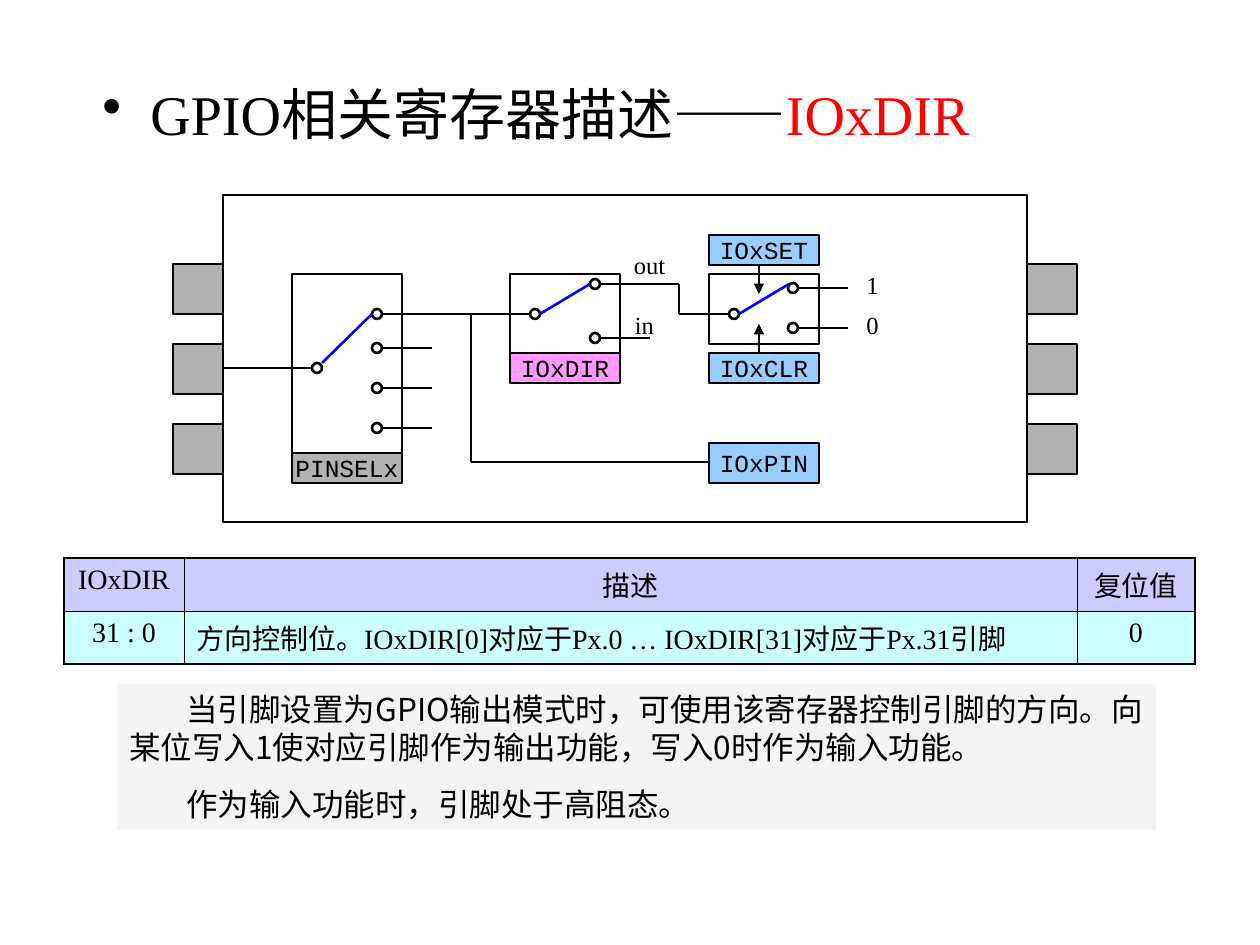
from typing import NamedTuple

from lxml import etree
from pptx import Presentation
from pptx.dml.color import RGBColor
from pptx.enum.shapes import MSO_CONNECTOR, MSO_SHAPE
from pptx.enum.text import MSO_ANCHOR, PP_ALIGN
from pptx.oxml.ns import qn
from pptx.util import Emu, Pt

RECT, OVAL = MSO_SHAPE.RECTANGLE, MSO_SHAPE.OVAL
STRAIGHT = MSO_CONNECTOR.STRAIGHT
LEFT, CENTER = PP_ALIGN.LEFT, PP_ALIGN.CENTER
MIDDLE = MSO_ANCHOR.MIDDLE

BLACK = RGBColor(0x00, 0x00, 0x00)
RED = RGBColor(0xFF, 0x00, 0x00)
BLUE = RGBColor(0x00, 0x00, 0xFF)
GRAY = RGBColor(0xB2, 0xB2, 0xB2)
PINK = RGBColor(0xFF, 0x99, 0xFF)
SKY = RGBColor(0x99, 0xCC, 0xFF)
LILAC = RGBColor(0xCC, 0xCC, 0xFF)
AQUA = RGBColor(0xCC, 0xFF, 0xFF)
SILVER = RGBColor(0xDD, 0xDD, 0xDD)

SERIF, MONO, SANS = "Times New Roman", "Courier New", "Noto Sans CJK JP"
EMU_PER_PX = 914400 / 126
RADIUS = 5


class Box(NamedTuple):
    x: int
    y: int
    w: int
    h: int
    fill: RGBColor | None = None
    text: str = ""


class Contact(NamedTuple):
    x: int
    y: int
    lead_end: int


class Wire(NamedTuple):
    x1: int
    y1: int
    x2: int
    y2: int
    color: RGBColor = BLACK
    arrow: bool = False


class Label(NamedTuple):
    x: int
    y: int
    w: int
    text: str


FRAMES = [Box(223, 195, 804, 327), Box(292, 274, 110, 179),
          Box(510, 274, 110, 79), Box(709, 274, 110, 70)]
REGISTERS = [Box(292, 453, 110, 30, GRAY, "PINSELx"),
             Box(510, 353, 110, 30, PINK, "IOxDIR"),
             Box(709, 235, 110, 30, SKY, "IOxSET"),
             Box(709, 353, 110, 30, SKY, "IOxCLR"),
             Box(709, 443, 110, 40, SKY, "IOxPIN")]
PADS = [Box(x, 264 + 80 * i, 50, 50, GRAY) for x in (173, 1027) for i in range(3)]
CONTACTS = [Contact(317, 368, 223),
            *(Contact(377, y, 432) for y in (314, 348, 388, 428)),
            Contact(535, 314, 432), Contact(595, 284, 650), Contact(595, 338, 650),
            Contact(734, 314, 679), Contact(793, 288, 848), Contact(793, 328, 848)]
WIRES = [Wire(322, 363, 372, 314, BLUE), Wire(540, 314, 590, 284, BLUE),
         Wire(739, 314, 789, 284, BLUE),
         Wire(679, 314, 679, 284), Wire(679, 284, 650, 284),
         Wire(471, 314, 471, 462), Wire(471, 462, 650, 462), Wire(650, 462, 709, 462),
         Wire(759, 265, 759, 294, arrow=True), Wire(759, 353, 759, 324, arrow=True)]
LABELS = [Label(620, 304, 49, "in"), Label(620, 244, 59, "out"),
          Label(848, 264, 49, "1"), Label(848, 304, 49, "0")]

COLUMNS = [120, 893, 118]
ROW_FILLS = [LILAC, AQUA]
ROWS = [["IOxDIR", "描述", "复位值"],
        ["31 : 0", "方向控制位。IOxDIR[0]对应于Px.0 … IOxDIR[31]对应于Px.31引脚", "0"]]
NOTES = ["当引脚设置为GPIO输出模式时，可使用该寄存器控制引脚的方向。"
         "向某位写入1使对应引脚作为输出功能，写入0时作为输入功能。",
         "作为输入功能时，引脚处于高阻态。"]


def px(n: int) -> Emu:
    return Emu(round(n * EMU_PER_PX))


def add_run(p, text: str, size: int, font: str, color: RGBColor = BLACK) -> None:
    r = p.add_run()
    r.text = text
    r.font.size, r.font.name = Pt(size), font
    r.font.color.rgb = color


def add_shape(s, box: Box, kind=RECT):
    sp = s.shapes.add_shape(kind, px(box.x), px(box.y), px(box.w), px(box.h))
    sp.shadow.inherit = False
    if box.fill is None:
        sp.fill.background()
    else:
        sp.fill.solid()
        sp.fill.fore_color.rgb = box.fill
    sp.line.color.rgb = BLACK
    sp.line.width = Pt(1.5)
    if box.text:
        tf = sp.text_frame
        tf.word_wrap = False
        tf.vertical_anchor = MIDDLE
        p = tf.paragraphs[0]
        p.alignment = CENTER
        add_run(p, box.text, 14, MONO)
    return sp


def add_wire(s, wire: Wire) -> None:
    c = s.shapes.add_connector(STRAIGHT, *(px(n) for n in wire[:4]))
    c.line.color.rgb = wire.color
    c.line.width = Pt(1.5)
    if wire.arrow:
        etree.SubElement(c.line._get_or_add_ln(), qn("a:tailEnd"), type="triangle")
    etree.SubElement(c._element.spPr, qn("a:effectLst"))


def add_contact(s, contact: Contact) -> None:
    x, y, end = contact
    edge = x + RADIUS if end > x else x - RADIUS
    add_wire(s, Wire(end, y, edge, y))
    add_shape(s, Box(x - RADIUS, y - RADIUS, 2 * RADIUS, 2 * RADIUS), OVAL)


def add_text_box(s, x: int, y: int, w: int, h: int):
    tf = s.shapes.add_textbox(px(x), px(y), px(w), px(h)).text_frame
    tf.word_wrap = True
    return tf.paragraphs[0]


def add_label(s, label: Label) -> None:
    p = add_text_box(s, label.x, label.y, label.w, 43)
    p.alignment = CENTER
    add_run(p, label.text, 14, SERIF)


def add_title(s) -> None:
    p = add_text_box(s, 90, 73, 1071, 94)
    pPr = p._p.get_or_add_pPr()
    pPr.set("marL", str(px(48)))
    pPr.set("indent", str(px(-48)))
    etree.SubElement(pPr, qn("a:buChar"), char="•")
    add_run(p, "GPIO相关寄存器描述——", 32, SERIF)
    add_run(p, "IOxDIR", 32, SERIF, RED)


def add_border(cell, side: str, width: float) -> None:
    ln = etree.SubElement(cell._tc.get_or_add_tcPr(), qn(f"a:ln{side}"), w=str(Pt(width)))
    fill = etree.SubElement(ln, qn("a:solidFill"))
    etree.SubElement(fill, qn("a:srgbClr"), val=str(BLACK))


def add_register_table(s) -> None:
    shape = s.shapes.add_table(len(ROWS), len(COLUMNS), px(64), px(558),
                               px(sum(COLUMNS)), px(106))
    table = shape.table
    table.first_row = table.horz_banding = False
    for column, width in zip(table.columns, COLUMNS):
        column.width = px(width)
    for i, row in enumerate(ROWS):
        for j, text in enumerate(row):
            cell = table.cell(i, j)
            outer = {"L": j == 0, "R": j == len(COLUMNS) - 1,
                     "T": i == 0, "B": i == len(ROWS) - 1}
            for side, is_outer in outer.items():
                add_border(cell, side, 1.08 if is_outer else 0.45)
            cell.fill.solid()
            cell.fill.fore_color.rgb = ROW_FILLS[i]
            p = cell.text_frame.paragraphs[0]
            p.alignment = LEFT if (i, j) == (1, 1) else CENTER
            add_run(p, text, 16, SERIF)


def add_notes_panel(s) -> None:
    sp = add_shape(s, Box(117, 684, 1039, 146, SILVER))
    sp.line.fill.background()
    color = sp._element.spPr.find(qn("a:solidFill"))[0]
    etree.SubElement(color, qn("a:alpha"), val="30000")
    tf = sp.text_frame
    tf.word_wrap = True
    tf.vertical_anchor = MSO_ANCHOR.TOP
    for i, text in enumerate(NOTES):
        p = tf.add_paragraph() if i else tf.paragraphs[0]
        p.alignment = LEFT
        p.line_spacing = Pt(21.6)
        if i:
            p.space_before = Pt(11.2)
        p._p.get_or_add_pPr().set("indent", str(px(57)))
        add_run(p, text, 18, SANS)


def main() -> None:
    prs = Presentation()
    prs.slide_width, prs.slide_height = px(1260), px(945)
    s = prs.slides.add_slide(prs.slide_layouts[6])
    for box in FRAMES + REGISTERS + PADS:
        add_shape(s, box)
    for contact in CONTACTS:
        add_contact(s, contact)
    for wire in WIRES:
        add_wire(s, wire)
    for label in LABELS:
        add_label(s, label)
    add_title(s)
    add_register_table(s)
    add_notes_panel(s)
    prs.save("out.pptx")


if __name__ == "__main__":
    main()
